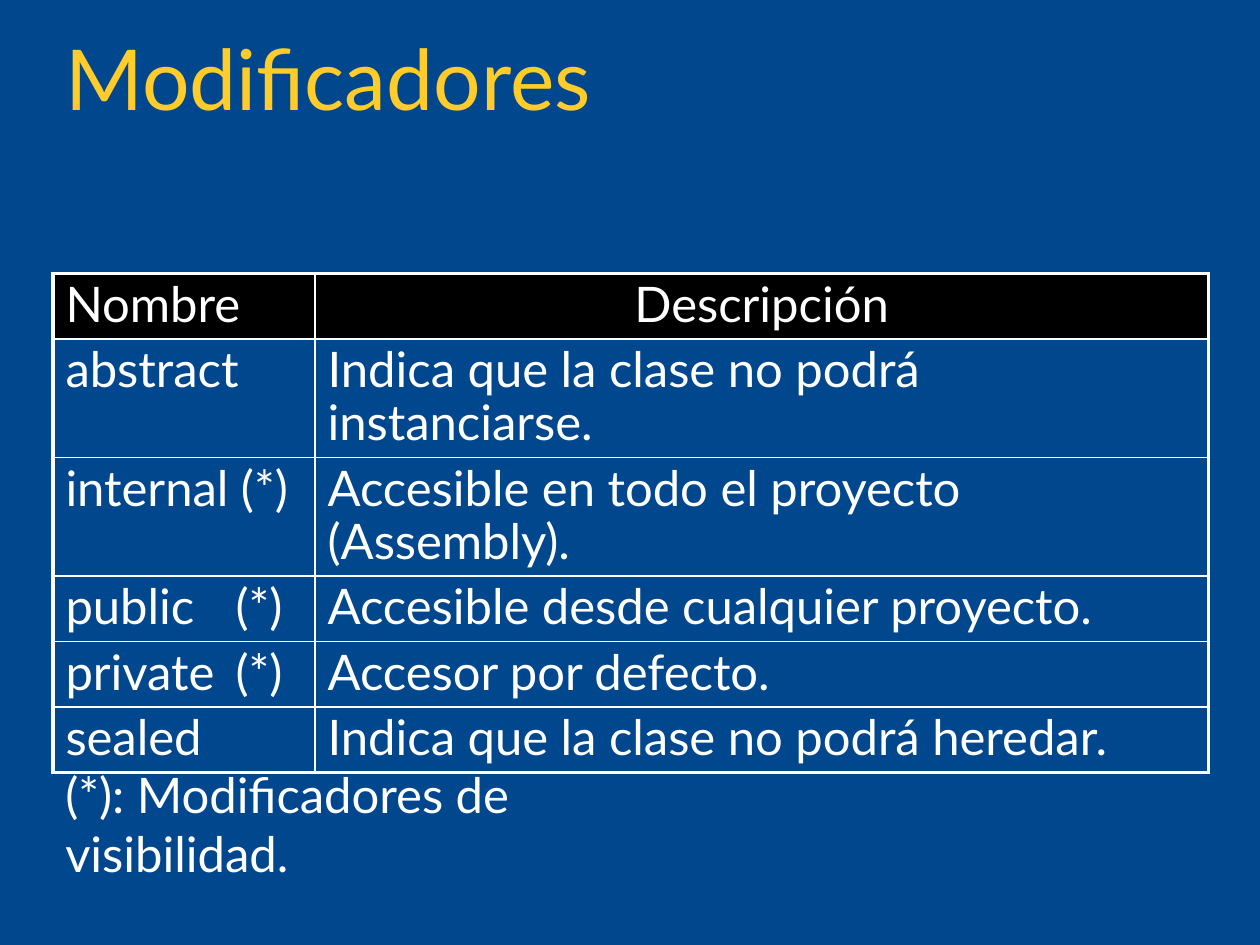
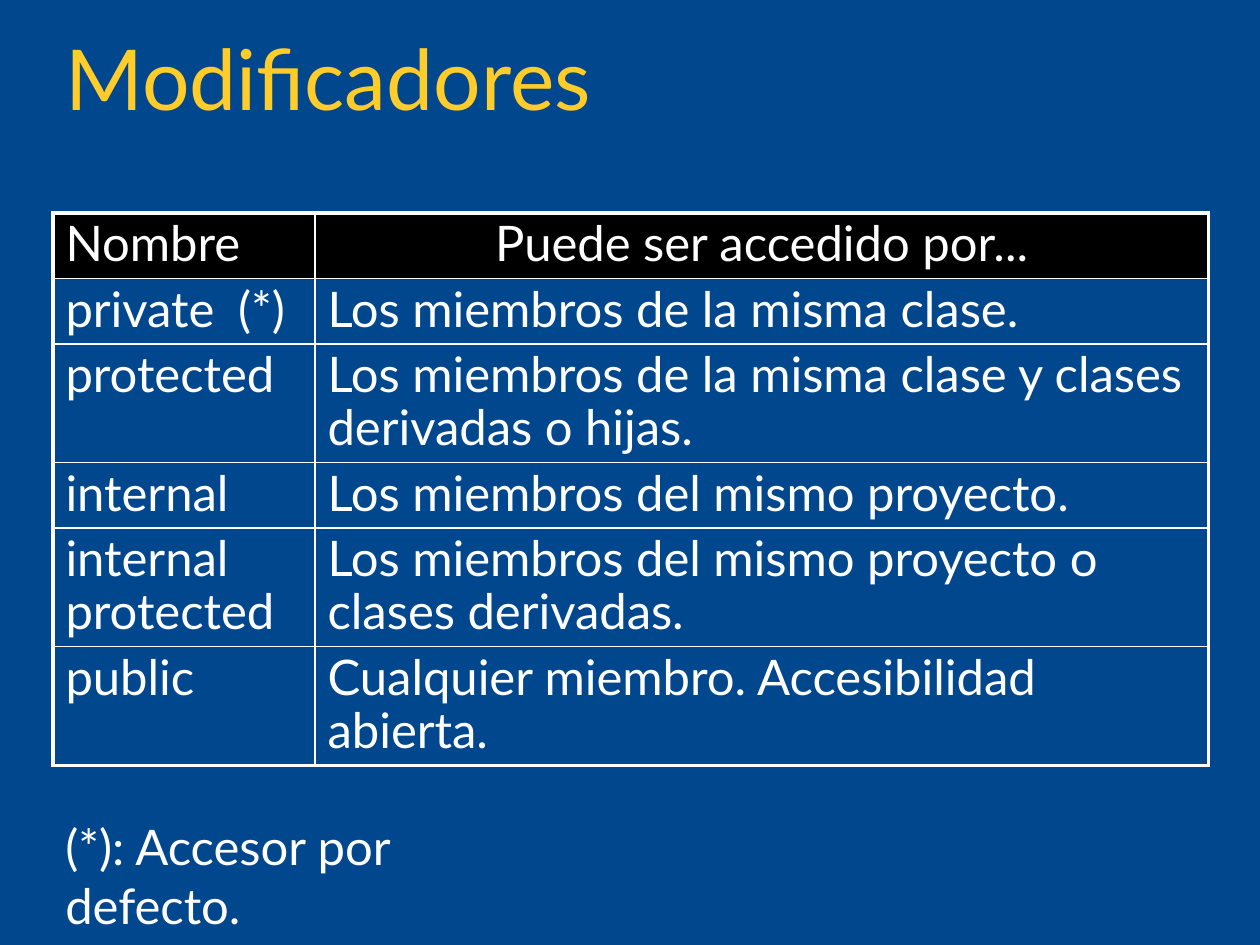
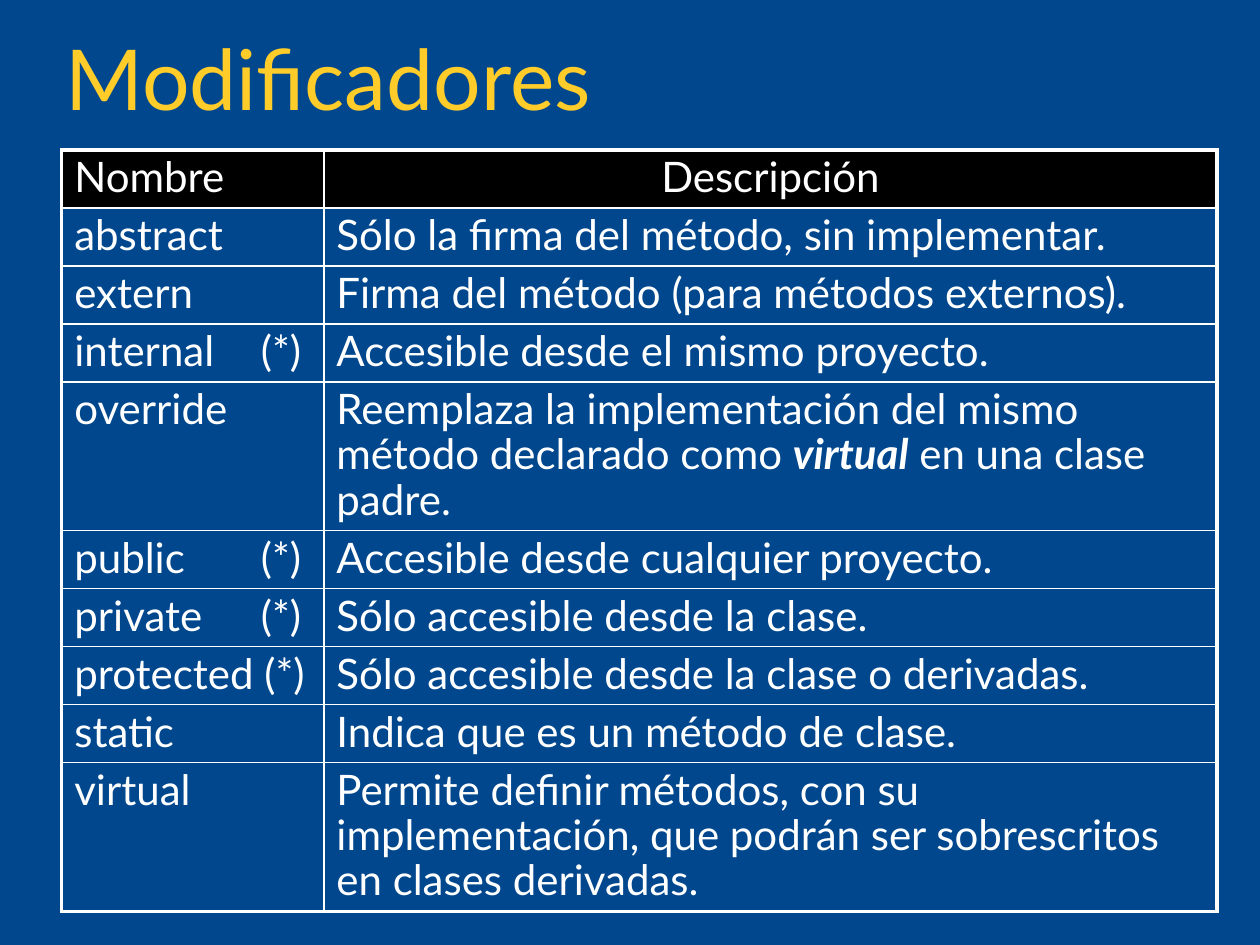
"""Build three slides that list class and method modifiers in tables."""
from lxml import etree
from pptx import Presentation
from pptx.dml.color import RGBColor
from pptx.enum.text import PP_ALIGN
from pptx.oxml.ns import qn
from pptx.util import Inches, Pt

CENTER = PP_ALIGN.CENTER
COLORS = {"back": "00478E", "title": "FFCC29", "text": "FFFFFF", "head": "000000"}
FACE = "Lato"
TITLE = "Modificadores"
COLS = (2.08, 7.09)
THICK, THIN = 2.25, 1

SLIDES = [
    {
        "at": (0.42, 2.17), "size": 28, "tab": 1.35,
        "heights": [0.52] * 6,
        "rows": [
            ("Nombre", "Descripción"),
            ("abstract", "Indica que la clase no podrá instanciarse."),
            ("internal (*)", "Accesible en todo el proyecto (Assembly)."),
            ("public\t(*)", "Accesible desde cualquier proyecto."),
            ("private\t(*)", "Accesor por defecto."),
            ("sealed", "Indica que la clase no podrá heredar."),
        ],
        "note": ("(*): Modificadores de visibilidad.", 6.02, 5.5),
    },
    {
        "at": (0.42, 1.69), "size": 28, "tab": 1.37,
        "heights": [0.52, 0.52, 0.94, 0.52, 0.94, 0.94],
        "rows": [
            ("Nombre", "Puede ser accedido por..."),
            ("private\t(*)", "Los miembros de la misma clase."),
            ("protected", "Los miembros de la misma clase y clases derivadas o hijas."),
            ("internal", "Los miembros del mismo proyecto."),
            ("internal protected", "Los miembros del mismo proyecto o clases derivadas."),
            ("public", "Cualquier miembro. Accesibilidad abierta."),
        ],
        "note": ("(*): Accesor por defecto.", 6.43, 4.2),
    },
    {
        "at": (0.49, 1.19), "size": 24, "tab": 1.48,
        "heights": [0.46] * 4 + [1.18] + [0.46] * 4 + [1.18],
        "rows": [
            ("Nombre", "Descripción"),
            ("abstract", "Sólo la firma del método, sin implementar."),
            ("extern", "Firma del método (para métodos externos)."),
            ("internal\t(*)", "Accesible desde el mismo proyecto."),
            ("override", ("Reemplaza la implementación del mismo método declarado como ",
                          "virtual", " en una clase padre.")),
            ("public\t(*)", "Accesible desde cualquier proyecto."),
            ("private\t(*)", "Sólo accesible desde la clase."),
            ("protected (*)", "Sólo accesible desde la clase o derivadas."),
            ("static", "Indica que es un método de clase."),
            ("virtual", "Permite definir métodos, con su implementación, "
                        "que podrán ser sobrescritos en clases derivadas."),
        ],
        "note": None,
    },
]


def color(name):
    return RGBColor.from_string(COLORS[name])


def style(para, size, tint):
    para.font.name = FACE
    para.font.size = Pt(size)
    para.font.color.rgb = color(tint)


def add_text(slide, text, box, size, tint):
    frame = slide.shapes.add_textbox(*map(Inches, box)).text_frame
    frame.word_wrap = True
    para = frame.paragraphs[0]
    para.text = text
    style(para, size, tint)
    return para


def add_borders(cell, widths):
    props = cell._tc.get_or_add_tcPr()
    for spot, (side, width) in enumerate(widths.items()):
        line = etree.Element(qn("a:ln" + side), w=str(Pt(width)))
        fill = etree.SubElement(line, qn("a:solidFill"))
        etree.SubElement(fill, qn("a:srgbClr"), val=COLORS["text"])
        props.insert(spot, line)


def fill_cell(cell, text, size, tab):
    para = cell.text_frame.paragraphs[0]
    parts = (text,) if isinstance(text, str) else text
    for spot, part in enumerate(parts):
        run = para.add_run()
        run.text = part
        if spot % 2:
            run.font.bold = run.font.italic = True
    para.line_spacing = 0.9
    props = para._p.get_or_add_pPr()
    space = etree.SubElement(props, qn("a:spcBef"))
    etree.SubElement(space, qn("a:spcPct"), val="25000")
    if "\t" in text:
        stops = etree.SubElement(props, qn("a:tabLst"))
        etree.SubElement(stops, qn("a:tab"), pos=str(Inches(tab)), algn="l")
    style(para, size, "text")
    return para


def add_grid(slide, data):
    rows, heights = data["rows"], data["heights"]
    box = (*data["at"], sum(COLS), sum(heights))
    table = slide.shapes.add_table(len(rows), len(COLS), *map(Inches, box)).table
    table.first_row = table.horz_banding = False
    for col, width in zip(table.columns, COLS):
        col.width = Inches(width)
    last = len(rows) - 1
    for r, (row, height) in enumerate(zip(rows, heights)):
        table.rows[r].height = Inches(height)
        for c, text in enumerate(row):
            cell = table.cell(r, c)
            para = fill_cell(cell, text, data["size"], data["tab"])
            if r == 0:
                cell.fill.solid()
                cell.fill.fore_color.rgb = color("head")
                if c == 1:
                    para.alignment = CENTER
            else:
                cell.fill.background()
            add_borders(cell, {
                "L": THICK if c == 0 else THIN,
                "R": THICK if c == 1 else THIN,
                "T": THICK if r == 0 else THIN,
                "B": THICK if r == last else THIN,
            })


def main():
    deck = Presentation()
    deck.slide_width, deck.slide_height = Inches(10), Inches(7.5)
    for data in SLIDES:
        slide = deck.slides.add_slide(deck.slide_layouts[6])
        slide.background.fill.solid()
        slide.background.fill.fore_color.rgb = color("back")
        title = add_text(slide, TITLE, (0.42, 0.25, 9.18, 0.83), 48, "title")
        title.line_spacing = 0.9
        add_grid(slide, data)
        if data["note"]:
            text, top, width = data["note"]
            add_text(slide, text, (0.42, top, width, 0.57), 28, "text")
    deck.save("out.pptx")


if __name__ == "__main__":
    main()
